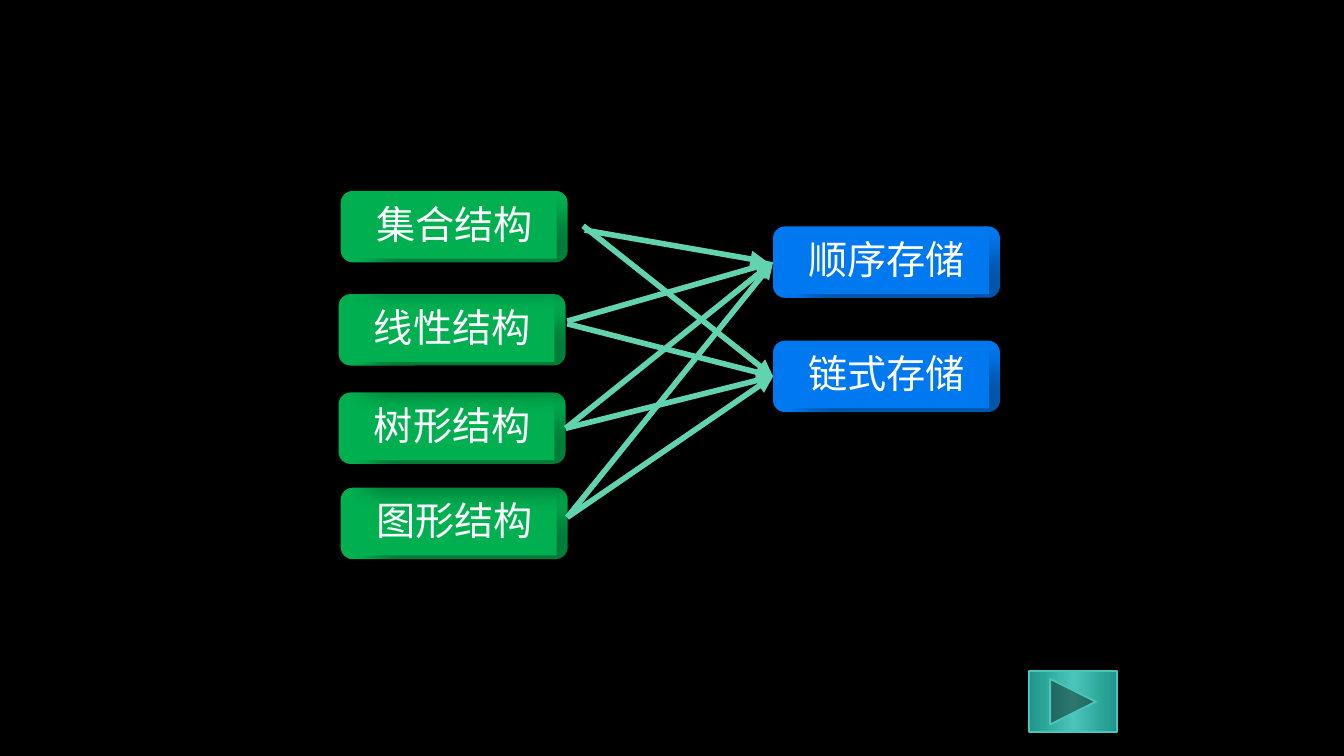
from copy import deepcopy

from lxml.etree import SubElement
from pptx import Presentation
from pptx.dml.color import RGBColor
from pptx.enum.shapes import MSO_CONNECTOR, MSO_SHAPE
from pptx.enum.text import MSO_ANCHOR, PP_ALIGN
from pptx.oxml.ns import qn
from pptx.util import Cm, Pt

LEFT_SIDE, RIGHT_SIDE = 1, 3
GREEN, BLUE = "00B050", "0078F0"


def color(hex_string):
    return RGBColor.from_string(hex_string)


def set_values(target, values):
    for name, value in values.items():
        setattr(target, name, value)


class StorageSlide:
    font_name = "Noto Sans CJK SC"
    box_size = (4.29, 1.35)
    face_size = (3.86, 1.22)
    face_offset = (0.22, 0.06)
    arrow_color = "61D3AE"
    frame_format = {
        "vertical_anchor": MSO_ANCHOR.MIDDLE, "word_wrap": True,
        "margin_left": Cm(0.15), "margin_right": Cm(0.15),
        "margin_top": Cm(0.15), "margin_bottom": Cm(0.15),
    }
    paragraph_format = {
        "alignment": PP_ALIGN.CENTER, "line_spacing": 0.9, "space_after": Pt(7),
    }
    font_format = {"name": font_name, "size": Pt(21)}

    def __init__(self, presentation, background):
        self.slide = presentation.slides.add_slide(presentation.slide_layouts[6])
        fill = self.slide.background.fill
        fill.solid()
        fill.fore_color.rgb = color(background)

    def add_shadow(self, shape, opacity, distance):
        shape.shadow.inherit = False
        effects = shape.element.spPr.find(qn("a:effectLst"))
        shadow = SubElement(effects, qn("a:outerShdw"), blurRad=str(Pt(15)),
                            dist=str(Pt(distance)), dir="2700000", rotWithShape="0")
        black = SubElement(shadow, qn("a:srgbClr"), val="000000")
        SubElement(black, qn("a:alpha"), val=str(opacity * 1000))

    def add_panel(self, shapes, kind, left, top, size, fill):
        shape = shapes.add_shape(kind, Cm(left), Cm(top), *map(Cm, size))
        shape.fill.solid()
        shape.fill.fore_color.rgb = color(fill)
        shape.line.fill.background()
        self.add_shadow(shape, 30, 18)
        return shape

    def add_box(self, text, left, top, fill):
        """Group a rounded box with its text face and return the rounded box."""
        shapes = self.slide.shapes.add_group_shape().shapes
        box = self.add_panel(shapes, MSO_SHAPE.ROUNDED_RECTANGLE, left, top,
                             self.box_size, fill)
        face = self.add_panel(shapes, MSO_SHAPE.RECTANGLE, left + self.face_offset[0],
                              top + self.face_offset[1], self.face_size, fill)
        set_values(face.text_frame, self.frame_format)
        paragraph = face.text_frame.paragraphs[0]
        set_values(paragraph, self.paragraph_format)
        run = paragraph.add_run()
        run.text = text
        set_values(run.font, self.font_format)
        run.font.color.rgb = color("FFFFFF")
        SubElement(run.font._element, qn("a:ea"), typeface=self.font_name)
        return box

    def add_arrow(self, start, end):
        """Draw an arrow; each end is a point in centimetres or a box to join."""
        start_is_point, end_is_point = isinstance(start, tuple), isinstance(end, tuple)
        points = (start if start_is_point else (0, 0)) + (end if end_is_point else (0, 0))
        arrow = self.slide.shapes.add_connector(MSO_CONNECTOR.STRAIGHT, *map(Cm, points))
        if not start_is_point:
            arrow.begin_connect(start, RIGHT_SIDE)
        if not end_is_point:
            arrow.end_connect(end, LEFT_SIDE)
        arrow.line.width = Pt(3)
        arrow.line.color.rgb = color(self.arrow_color)
        properties = arrow.element.spPr
        SubElement(properties.find(qn("a:ln")), qn("a:tailEnd"), type="triangle")
        SubElement(properties, qn("a:effectLst"))

    def add_next_button(self, left, top, width, height, edge, middle):
        button = self.slide.shapes.add_shape(
            MSO_SHAPE.ACTION_BUTTON_FORWARD_OR_NEXT,
            Cm(left), Cm(top), Cm(width), Cm(height))
        button.fill.gradient()
        button.fill.gradient_angle = 0
        stop_list = button.element.spPr.find(".//" + qn("a:gsLst"))
        stop_list.append(deepcopy(stop_list[0]))
        stops = zip(button.fill.gradient_stops, (0, 0.5, 1), (edge, middle, edge))
        for stop, position, hex_string in stops:
            stop.position = position
            stop.color.rgb = color(hex_string)
        button.line.color.rgb = color(middle)
        button.line.width = Pt(1)
        self.add_shadow(button, 36, 6.2)


def main():
    presentation = Presentation()
    presentation.slide_width, presentation.slide_height = Cm(25.4), Cm(14.29)
    page = StorageSlide(presentation, "000000")
    page.add_next_button(19.45, 12.69, 1.66, 1.15, "1D958A", "4BC5B9")

    page.add_box("图形结构", 6.44, 9.22, GREEN)
    tree = page.add_box("树形结构", 6.4, 7.42, GREEN)
    page.add_box("线性结构", 6.4, 5.56, GREEN)
    page.add_box("集合结构", 6.44, 3.61, GREEN)
    linked = page.add_box("链式存储", 14.61, 6.44, BLUE)
    sequential = page.add_box("顺序存储", 14.61, 4.28, BLUE)

    arrows = [
        ((11.05, 4.35), (14.5, 4.95)), ((11.02, 4.27), linked),
        ((10.72, 6.07), sequential), ((10.72, 6.12), linked),
        (tree, sequential), (tree, linked),
        ((10.72, 9.78), sequential), ((10.72, 9.78), linked),
    ]
    for start, end in arrows:
        page.add_arrow(start, end)
    presentation.save("out.pptx")


if __name__ == "__main__":
    main()
